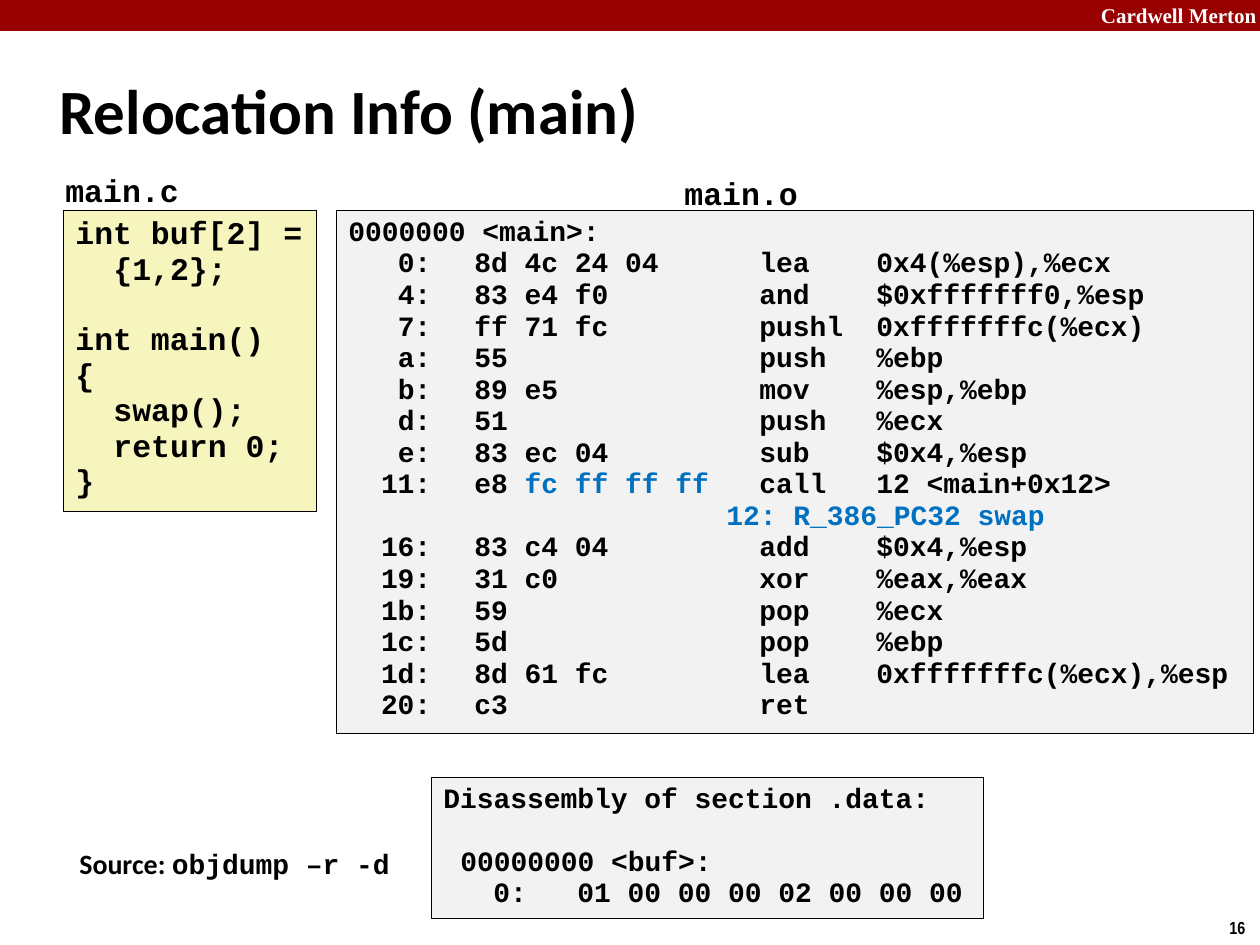
from dataclasses import dataclass

import pptx
import pptx.dml.color
import pptx.enum.shapes
import pptx.enum.text
import pptx.oxml.ns
import pptx.util
from lxml import etree

EMU_PER_PX = 914400 / 126
MONO, SANS = "Courier New", "Calibri"
BLACK, WHITE, RED, BLUE = "000000", "FFFFFF", "990000", "0070C0"
CREAM, GREY = "F6F5BD", "F2F2F2"
ALIGN = pptx.enum.text.PP_ALIGN
ANCHOR = pptx.enum.text.MSO_ANCHOR


@dataclass(frozen=True)
class Span:
    text: str
    color: str = ""
    font: str = ""


@dataclass(frozen=True)
class Line:
    spans: tuple[Span, ...]
    tabs: tuple[tuple[int, str], ...] = ()
    before: float = 0


@dataclass(frozen=True)
class Text:
    at: tuple[int, int, int, int]
    lines: tuple[Line, ...]
    size: int
    font: str = MONO
    color: str = BLACK
    spacing: float = 1.0
    fill: str = ""
    align: int = ALIGN.LEFT
    anchor: int = ANCHOR.TOP


def px(n: float) -> int:
    return round(n * EMU_PER_PX)


def rgb(value: str) -> pptx.dml.color.RGBColor:
    return pptx.dml.color.RGBColor.from_string(value)


def line(text: str, tabs: tuple = (), before: float = 0, color: str = "") -> Line:
    return Line((Span(text, color),), tabs, before)


def add_rect(slide, at: tuple[int, int, int, int], fill: str):
    s = slide.shapes.add_shape(pptx.enum.shapes.MSO_SHAPE.RECTANGLE, *map(px, at))
    s.shadow.inherit = False
    s.fill.solid()
    s.fill.fore_color.rgb = rgb(fill)
    s.line.fill.background()
    return s


def set_tabs(p, tabs: tuple[tuple[int, str], ...]) -> None:
    qn = pptx.oxml.ns.qn
    tab_list = etree.SubElement(p._p.get_or_add_pPr(), qn("a:tabLst"))
    for pos, algn in tabs:
        etree.SubElement(tab_list, qn("a:tab"), pos=str(px(pos)), algn=algn)


def add_line(p, text: Text, content: Line) -> None:
    p.alignment = text.align
    p.line_spacing = text.spacing
    p.space_before = pptx.util.Pt(content.before)
    if content.tabs:
        set_tabs(p, content.tabs)
    p.font.size = pptx.util.Pt(text.size)
    p.font.bold = True
    p.font.name = text.font
    p.font.color.rgb = rgb(text.color)
    for span in content.spans:
        r = p.add_run()
        r.text = span.text
        if span.color:
            r.font.color.rgb = rgb(span.color)
        if span.font:
            r.font.name = span.font


def add_text(slide, text: Text) -> None:
    """Draw a text box, or a thinly outlined panel when a fill is given."""
    if text.fill:
        s = add_rect(slide, text.at, text.fill)
        s.line.color.rgb = rgb(BLACK)
        s.line.width = pptx.util.Pt(0.25)
    else:
        s = slide.shapes.add_textbox(*map(px, text.at))
    tf = s.text_frame
    tf.word_wrap = True
    tf.vertical_anchor = text.anchor
    inset = pptx.util.Inches(0.1)
    right = text.align == ALIGN.RIGHT
    tf.margin_left, tf.margin_right = (0, inset) if right else (inset, 0)
    for i, content in enumerate(text.lines):
        add_line(tf.add_paragraph() if i else tf.paragraphs[0], text, content)


CODE_TABS = ((38, "l"),)
C_CODE = (
    line("int buf[2] ="),
    line("\t{1,2};", CODE_TABS),
    line("int main()", before=20),
    line("{"),
    line("\tswap();", CODE_TABS),
    line("\treturn 0;", CODE_TABS),
    line("}"),
)

# address, bytes, mnemonic, operands
ASM_TABS = ((83, "r"), (126, "l"), (411, "l"), (528, "l"))
BEFORE_CALL = (
    ("0:", "8d 4c 24 04", "lea", "0x4(%esp),%ecx"),
    ("4:", "83 e4 f0", "and", "$0xfffffff0,%esp"),
    ("7:", "ff 71 fc", "pushl", "0xfffffffc(%ecx)"),
    ("a:", "55", "push", "%ebp"),
    ("b:", "89 e5", "mov", "%esp,%ebp"),
    ("d:", "51", "push", "%ecx"),
    ("e:", "83 ec 04", "sub", "$0x4,%esp"),
)
AFTER_CALL = (
    ("16:", "83 c4 04", "add", "$0x4,%esp"),
    ("19:", "31 c0", "xor", "%eax,%eax"),
    ("1b:", "59", "pop", "%ecx"),
    ("1c:", "5d", "pop", "%ebp"),
    ("1d:", "8d 61 fc", "lea", "0xfffffffc(%ecx),%esp"),
    ("20:", "c3", "ret"),
)


def instructions(rows: tuple) -> tuple[Line, ...]:
    return tuple(line("\t" + "\t".join(row), ASM_TABS) for row in rows)


CALL = Line((Span("\t11:\te8 "), Span("fc ff ff ff", BLUE),
             Span("\tcall\t12 <main+0x12>")), ASM_TABS)
RELOCATION = line("\t12: R_386_PC32 swap", ((378, "l"),), color=BLUE)
MAIN_LISTING = (line("0000000 <main>:"), *instructions(BEFORE_CALL), CALL,
                RELOCATION, *instructions(AFTER_CALL))

DATA_TABS = ((17, "l"), (50, "l"), (134, "l"))
DATA_LISTING = (
    line("Disassembly of section .data:"),
    line("\t00000000 <buf>:", DATA_TABS, before=18),
    line("\t\t0:\t01 00 00 00 02 00 00 00", DATA_TABS),
)
SOURCE = (Line((Span("Source: ", font=SANS), Span("objdump –r -d"))),)

TEXTS = (
    Text((1089, -4, 180, 38), (line("Cardwell Merton"),), 12, "Times New Roman",
         WHITE, align=ALIGN.RIGHT),
    Text((1217, 911, 43, 34), (line("16"),), 10, "Arial Narrow"),
    Text((63, 210, 253, 301), C_CODE, 18, spacing=0.94, fill=CREAM),
    Text((47, 62, 1201, 108), (line("Relocation Info (main)"),), 36, SANS,
         spacing=0.82, anchor=ANCHOR.MIDDLE),
    Text((431, 777, 552, 141), DATA_LISTING, 16, spacing=0.94, fill=GREY),
    Text((67, 842, 340, 47), SOURCE, 16, spacing=0.98),
    Text((53, 165, 140, 50), (line("main.c"),), 18),
    Text((672, 168, 140, 50), (line("main.o"),), 18),
    Text((336, 210, 917, 523), MAIN_LISTING, 16, spacing=0.94, fill=GREY),
)


def main() -> None:
    prs = pptx.Presentation()
    prs.slide_width, prs.slide_height = px(1260), px(945)
    slide = prs.slides.add_slide(prs.slide_layouts[6])
    add_rect(slide, (0, 0, 1260, 31), RED)
    for text in TEXTS:
        add_text(slide, text)
    prs.save("out.pptx")


if __name__ == "__main__":
    main()
